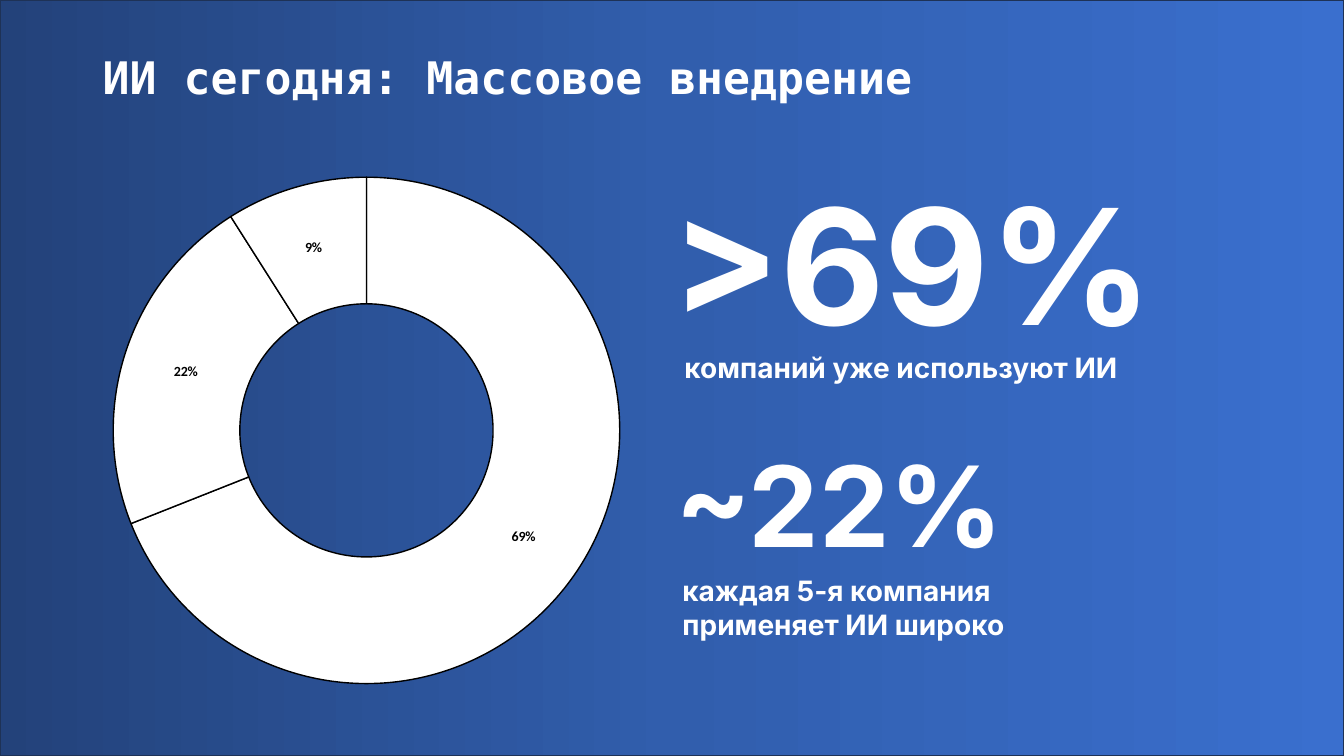
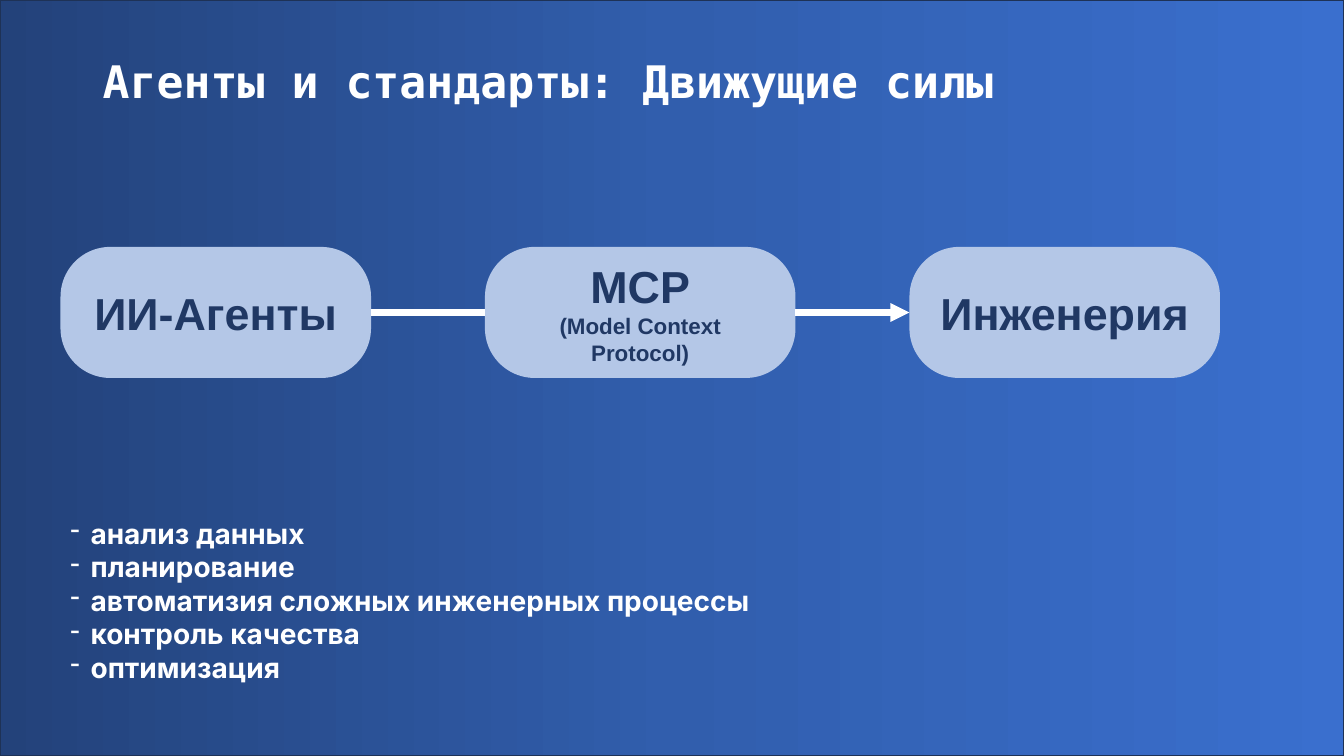
from copy import deepcopy
from dataclasses import dataclass

from lxml import etree
from pptx import Presentation
from pptx.chart.data import CategoryChartData
from pptx.dml.color import RGBColor
from pptx.enum.chart import XL_CHART_TYPE
from pptx.enum.shapes import MSO_CONNECTOR, MSO_SHAPE
from pptx.enum.text import MSO_ANCHOR, PP_ALIGN
from pptx.oxml.ns import qn
from pptx.util import Inches, Pt

RECT, ROUND_RECT = MSO_SHAPE.RECTANGLE, MSO_SHAPE.ROUNDED_RECTANGLE
STRAIGHT = MSO_CONNECTOR.STRAIGHT
DOUGHNUT = XL_CHART_TYPE.DOUGHNUT
CENTER, MIDDLE = PP_ALIGN.CENTER, MSO_ANCHOR.MIDDLE
LEFT_SIDE, RIGHT_SIDE = 1, 3


@dataclass(frozen=True)
class Theme:
    width: float = 13.33
    height: float = 7.5
    gradient: tuple = ((0, "23427A"), (0.5, "315EAD"), (1, "3A6FCE"))
    frame: str = "1E3256"
    white: str = "FFFFFF"
    black: str = "000000"
    box: str = "B4C7E7"
    box_text: str = "203864"
    title_font: str = "DejaVu Sans Mono"
    body_font: str = "Inter"
    box_font: str = "Arial"
    chart_font: str = "Calibri"
    title_size: int = 32
    body_size: int = 20
    note_size: int = 16
    label_size: int = 10


THEME = Theme()


def rgb(value):
    return RGBColor.from_string(value)


def set_font(font, name, size, color):
    for key, value in {"name": name, "size": Pt(size), "bold": True}.items():
        setattr(font, key, value)
    font.color.rgb = rgb(color)


def add_background(s):
    """Cover the slide with the framed left-to-right gradient."""
    sp = s.shapes.add_shape(RECT, 0, 0, Inches(THEME.width), Inches(THEME.height))
    sp.shadow.inherit = False
    sp.fill.gradient()
    sp.fill.gradient_angle = 0
    stop_list = next(sp._element.iter(qn("a:gsLst")))
    stop_list.append(deepcopy(stop_list[-1]))
    for stop, (position, color) in zip(sp.fill.gradient_stops, THEME.gradient):
        stop.position = position
        stop.color.rgb = rgb(color)
    sp.line.color.rgb = rgb(THEME.frame)
    sp.line.width = Pt(1)


def add_dash(p, indent):
    """Give the paragraph a hanging dash bullet."""
    pPr = p._p.get_or_add_pPr()
    pPr.set("marL", str(indent))
    pPr.set("indent", str(-indent))
    etree.SubElement(pPr, qn("a:buChar"), char="-")


def add_text(s, box, lines, size=THEME.body_size, font=THEME.body_font, dashed=False):
    sp = s.shapes.add_textbox(*map(Inches, box))
    tf = sp.text_frame
    tf.word_wrap = True
    for i, line in enumerate(lines):
        p = tf.paragraphs[0] if i == 0 else tf.add_paragraph()
        if dashed:
            add_dash(p, Inches(0.2))
        r = p.add_run()
        r.text = line
        set_font(r.font, font, size, THEME.white)


def add_slide(prs, title, title_top):
    s = prs.slides.add_slide(prs.slide_layouts[6])
    add_background(s)
    add_text(s, (0.92, title_top, 11.22, 0.64), [title],
             THEME.title_size, THEME.title_font)
    return s


def add_doughnut(s, box, shares):
    data = CategoryChartData(number_format="0%")
    data.categories = [str(i + 1) for i in range(len(shares))]
    data.add_series("Series 1", shares)
    chart = s.shapes.add_chart(DOUGHNUT, *map(Inches, box), data).chart
    chart.has_title = False
    chart.has_legend = False
    set_font(chart.font, THEME.chart_font, THEME.label_size, THEME.black)
    plot = chart.plots[0]
    plot.vary_by_categories = False
    for i in range(len(shares)):
        fmt = plot.series[0].points[i].format
        fmt.fill.solid()
        fmt.fill.fore_color.rgb = rgb(THEME.white)
        fmt.line.color.rgb = rgb(THEME.black)
        fmt.line.width = Pt(1)
    plot.has_data_labels = True
    labels = plot.data_labels
    for key, value in {"show_value": True, "show_percentage": False,
                       "number_format": "0%",
                       "number_format_is_linked": False}.items():
        setattr(labels, key, value)
    set_font(labels.font, THEME.chart_font, THEME.label_size, THEME.black)


def add_box(s, box, lines):
    """Add a rounded box; lines holds (text, size) pairs."""
    sp = s.shapes.add_shape(ROUND_RECT, *map(Inches, box))
    sp.shadow.inherit = False
    sp.adjustments[0] = 0.38
    sp.fill.solid()
    sp.fill.fore_color.rgb = rgb(THEME.box)
    sp.line.fill.background()
    tf = sp.text_frame
    tf.word_wrap = True
    tf.vertical_anchor = MIDDLE
    for i, (text, size) in enumerate(lines):
        p = tf.paragraphs[0] if i == 0 else tf.add_paragraph()
        p.alignment = CENTER
        r = p.add_run()
        r.text = text
        set_font(r.font, THEME.box_font, size, THEME.box_text)
    return sp


def join_boxes(s, left, right, arrow):
    line = s.shapes.add_connector(STRAIGHT, 0, 0, 0, 0)
    line.begin_connect(left, RIGHT_SIDE)
    line.end_connect(right, LEFT_SIDE)
    line.line.color.rgb = rgb(THEME.white)
    line.line.width = Pt(4.5)
    if arrow:
        etree.SubElement(line.line._get_or_add_ln(), qn("a:tailEnd"), type="triangle")
    etree.SubElement(line._element.spPr, qn("a:effectLst"))


def build_adoption(prs):
    s = add_slide(prs, "ИИ сегодня: Массовое внедрение", 0.44)
    add_doughnut(s, (0.05, 1.62, 7.17, 5.3), (0.69, 0.22, 0.09))
    add_text(s, (6.56, 1.58, 6.43, 2.04), [">69%"], 115)
    add_text(s, (6.69, 3.43, 6.5, 0.44), ["компаний уже используют ИИ"])
    add_text(s, (6.6, 4.27, 6.68, 1.45), ["~22%"], 80)
    add_text(s, (6.67, 5.64, 6.6, 0.77),
             ["каждая 5-я компания", "применяет ИИ широко"])


def build_agents(prs):
    s = add_slide(prs, "Агенты и стандарты: Движущие силы", 0.48)
    steps = (
        [("ИИ-Агенты", THEME.title_size)],
        [("MCP", THEME.title_size), ("(Model Context Protocol)", THEME.note_size)],
        [("Инженерия", THEME.title_size)],
    )
    left, width, gap = 0.6, 3.08, 1.13
    boxes = [add_box(s, (left + i * (width + gap), 2.45, width, 1.3), lines)
             for i, lines in enumerate(steps)]
    for i, pair in enumerate(zip(boxes, boxes[1:])):
        join_boxes(s, *pair, arrow=i == len(boxes) - 2)
    add_text(s, (0.6, 5.07, 8.62, 2.05),
             ["анализ данных", "планирование",
              "автоматизия сложных инженерных процессы",
              "контроль качества", "оптимизация"], dashed=True)


def main():
    prs = Presentation()
    prs.slide_width = Inches(THEME.width)
    prs.slide_height = Inches(THEME.height)
    build_adoption(prs)
    build_agents(prs)
    prs.save("out.pptx")


if __name__ == "__main__":
    main()
